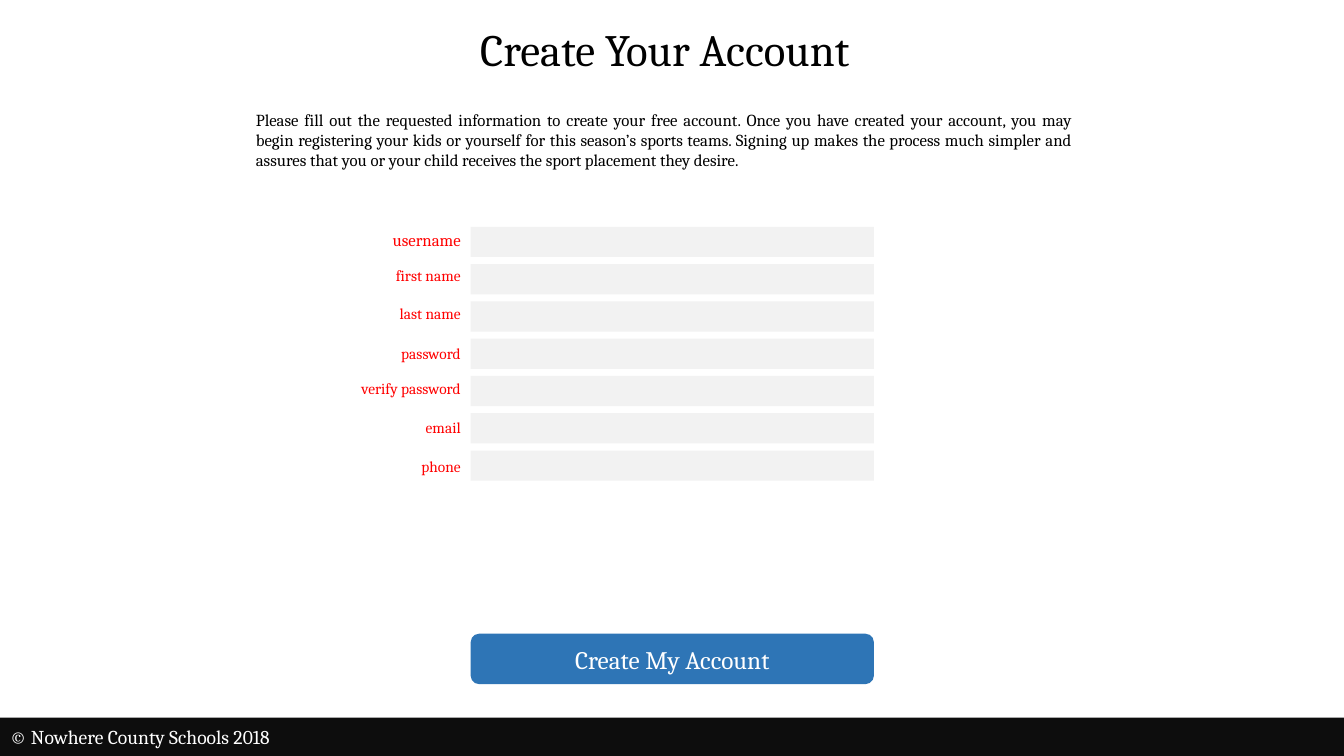
from dataclasses import dataclass

import pptx
import pptx.dml.color
import pptx.enum.shapes
import pptx.enum.text
import pptx.util

Pt = pptx.util.Pt
ALIGN = pptx.enum.text.PP_ALIGN
ANCHOR = pptx.enum.text.MSO_ANCHOR
SHAPE = pptx.enum.shapes.MSO_SHAPE

FIELD_LEFT, FIELD_TOP, FIELD_PITCH = 336.24, 162, 26.64
FIELD_WIDTH, FIELD_HEIGHT = 288, 21.6
LABEL_LEFT, LABEL_WIDTH = 174.24, 162

INTRO = (
    "Please fill out the requested information to create your free account. "
    "Once you have created your account, you may begin registering your kids "
    "or yourself for this season’s sports teams. Signing up makes the process "
    "much simpler and assures that you or your child receives the sport "
    "placement they desire."
)


@dataclass
class Field:
    label: str
    label_top: float
    size: float = 11


FIELDS = [
    Field("username", 160.6, 12),
    Field("first name", 186.5),
    Field("last name", 213.8),
    Field("password", 241.9),
    Field("verify password", 267.1),
    Field("email", 295.2),
    Field("phone", 323.3),
]


def rgb(value: str) -> pptx.dml.color.RGBColor:
    return pptx.dml.color.RGBColor.from_string(value)


def write(sp, text: str, size: float, color: str,
          align=ALIGN.LEFT, anchor=ANCHOR.TOP) -> None:
    tf = sp.text_frame
    frame_format = {
        "word_wrap": True,
        "auto_size": pptx.enum.text.MSO_AUTO_SIZE.NONE,
        "vertical_anchor": anchor,
    }
    for name, value in frame_format.items():
        setattr(tf, name, value)
    p = tf.paragraphs[0]
    p.alignment = align
    r = p.add_run()
    r.text = text
    for name, value in {"name": "Cambria", "size": Pt(size)}.items():
        setattr(r.font, name, value)
    r.font.color.rgb = rgb(color)


def place(sp, left: float, top: float, width: float, height: float) -> None:
    box = {"left": left, "top": top, "width": width, "height": height}
    for name, value in box.items():
        setattr(sp, name, Pt(value))


def add_block(s, kind, left: float, top: float, width: float, height: float, color: str):
    sp = s.shapes.add_shape(kind, Pt(left), Pt(top), Pt(width), Pt(height))
    sp.shadow.inherit = False
    sp.fill.solid()
    sp.fill.fore_color.rgb = rgb(color)
    sp.line.fill.background()
    return sp


def add_text(s, left: float, top: float, width: float, height: float,
             text: str, size: float, color: str, align=ALIGN.LEFT) -> None:
    sp = s.shapes.add_textbox(Pt(left), Pt(top), Pt(width), Pt(height))
    write(sp, text, size, color, align)


def main() -> None:
    prs = pptx.Presentation()
    prs.slide_width, prs.slide_height = Pt(960), Pt(540)
    s = prs.slides.add_slide(prs.slide_layouts[5])

    # Title and introduction
    place(s.shapes.title, -5.04, 12.24, 960, 46.08)
    write(s.shapes.title, "Create Your Account", 32, "000000", ALIGN.CENTER)
    add_text(s, 175.68, 74.88, 597.6, 51.12, INTRO, 12, "000000", ALIGN.JUSTIFY)

    # Form fields
    for i, field in enumerate(FIELDS):
        add_block(s, SHAPE.RECTANGLE, FIELD_LEFT, FIELD_TOP + i * FIELD_PITCH,
                  FIELD_WIDTH, FIELD_HEIGHT, "F2F2F2")
        add_text(s, LABEL_LEFT, field.label_top, LABEL_WIDTH, 20.88,
                 field.label, field.size, "FF0000", ALIGN.RIGHT)

    # Button
    button = add_block(s, SHAPE.ROUNDED_RECTANGLE, FIELD_LEFT, 452.7,
                       FIELD_WIDTH, 36, "2E75B6")
    write(button, "Create My Account", 18, "FFFFFF", ALIGN.CENTER, ANCHOR.MIDDLE)

    # Footer
    add_block(s, SHAPE.RECTANGLE, 0, 512.64, 960, 27.36, "0D0D0D")
    add_text(s, 0, 514.08, 474.48, 24.48, "© Nowhere County Schools 2018", 14, "FFFFFF")

    prs.save("out.pptx")


if __name__ == "__main__":
    main()
